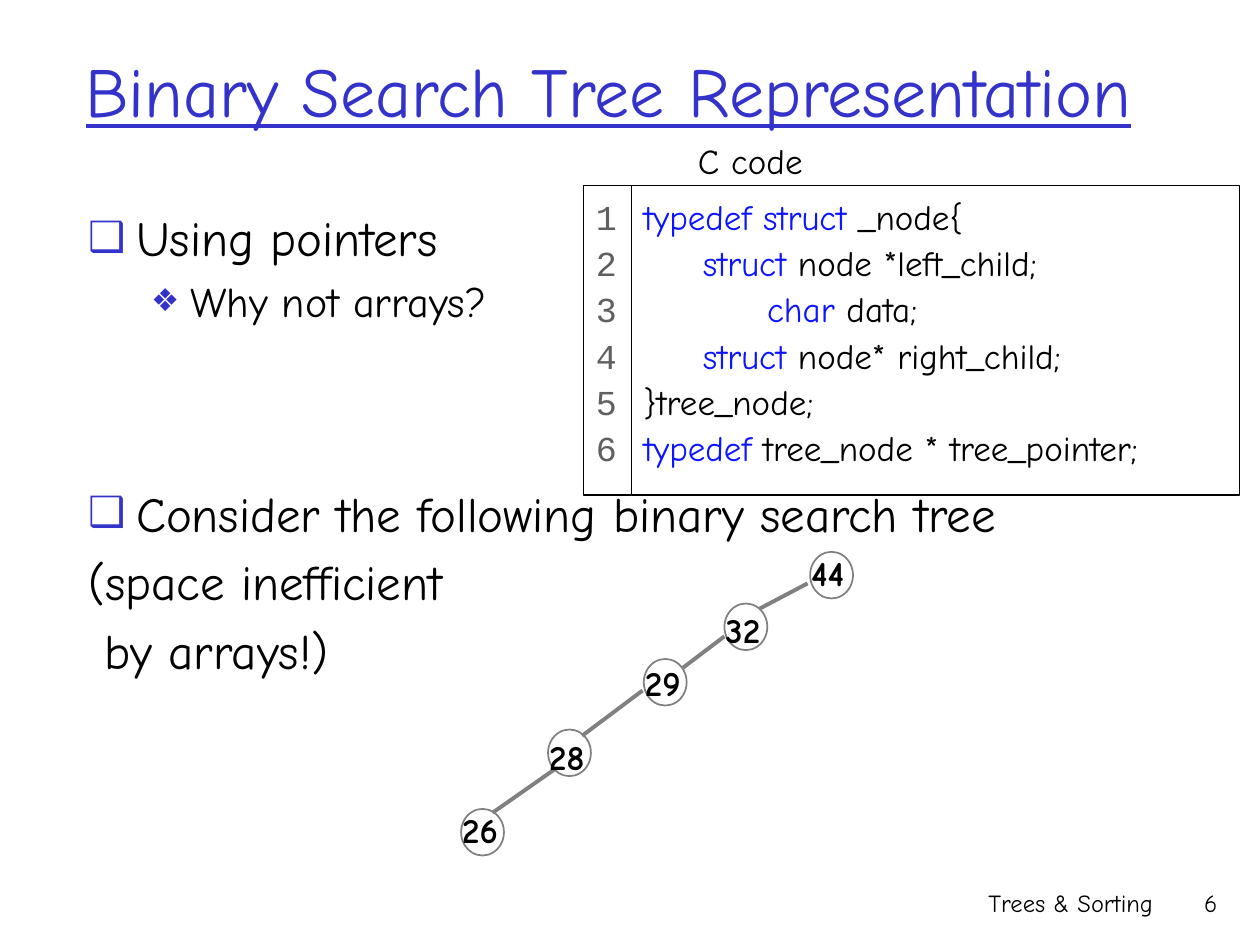
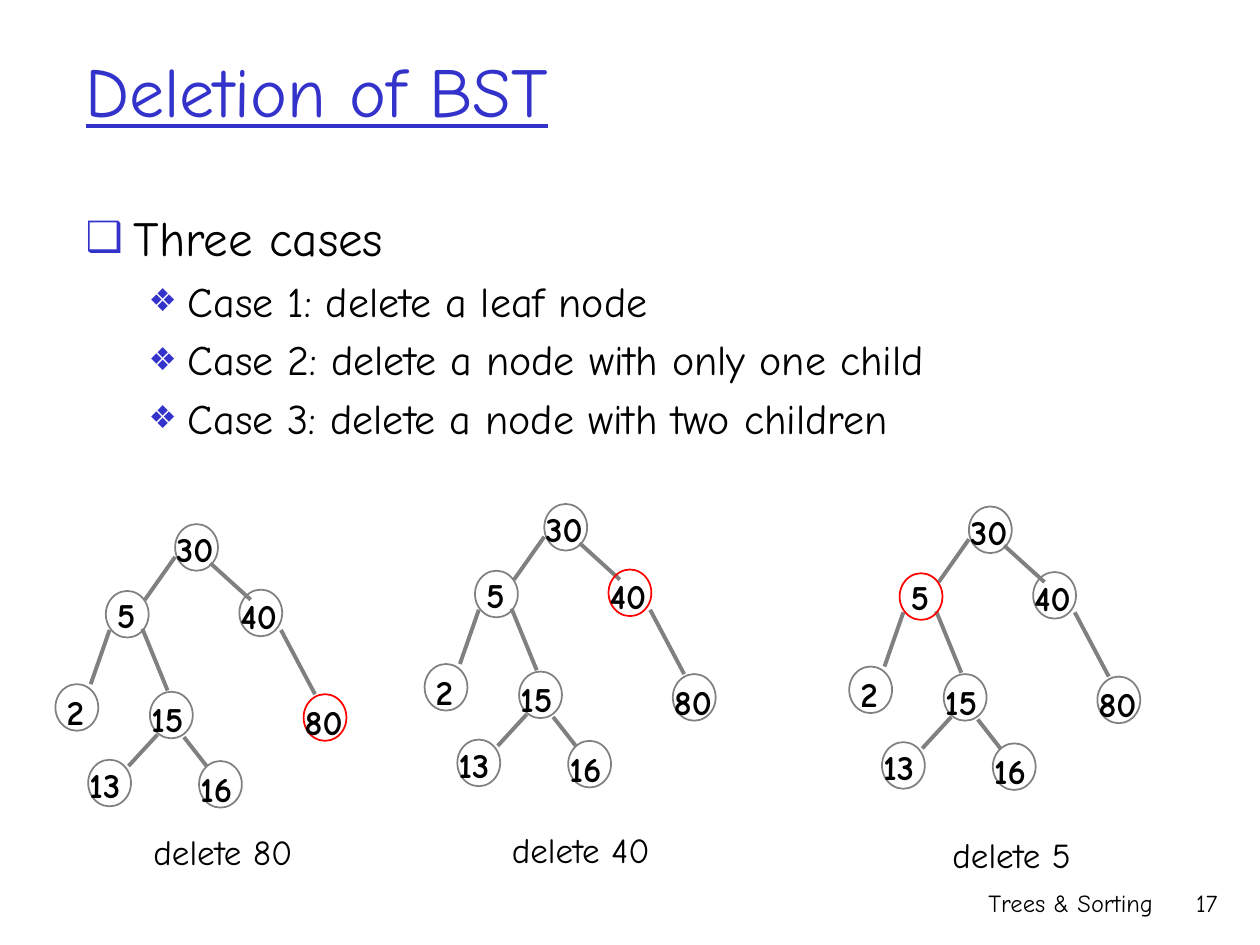
from dataclasses import dataclass

from lxml.etree import SubElement
from pptx import Presentation
from pptx.dml.color import RGBColor
from pptx.enum.shapes import MSO_CONNECTOR as Connector, MSO_SHAPE as Shape
from pptx.enum.text import MSO_ANCHOR as Anchor, MSO_AUTO_SIZE as AutoSize, PP_ALIGN as Align
from pptx.oxml.ns import qn
from pptx.util import Inches, Pt


@dataclass(frozen=True)
class Theme:
    font: str = "Comic Neue"
    number_font: str = "Courier New"
    ink: str = "000000"
    paper: str = "FFFFFF"
    accent: str = "3333CC"
    keyword: str = "0D14FF"
    line_number: str = "5F5F5F"
    outline: str = "808080"
    marked: str = "FF0000"
    title_size: int = 40
    item_size: int = 28
    subitem_size: int = 24
    text_size: int = 20
    footer_size: int = 14
    edge_width: float = 2.25
    node_width: float = 0.34
    node_height: float = 0.37


THEME = Theme()

# style: (bullet, bullet size in percent, level, left margin, hanging indent, type size)
LIST_STYLES = {
    "item": ("❑", 85, 0, 0.38, -0.38, THEME.item_size),
    "subitem": ("❖", 75, 1, 0.81, -0.31, THEME.subitem_size),
    "plain": (None, None, 0, 0, 0, THEME.item_size),
}

# left and top of each node, and how far its label is raised
CHAIN_NODES = {
    "44": (6.43, 4.38, 0.05),
    "32": (5.75, 4.79, 0.01),
    "29": (5.11, 5.23, 0.03),
    "28": (4.35, 5.79, 0),
    "26": (3.66, 6.42, 0.05),
}
CHAIN_EDGES = [
    (6.41, 4.63, 6.03, 4.83),
    (5.75, 5.05, 5.42, 5.3),
    (5.1, 5.48, 4.62, 5.84),
    (4.41, 6.1, 3.91, 6.45),
]

# measured from the corner of the root node
TREE_NODES = {
    "30": (0, 0, 0.02),
    "5": (-0.55, 0.53, 0.03),
    "2": (-0.95, 1.27, 0),
    "15": (-0.2, 1.33, 0),
    "40": (0.51, 0.52, 0.01),
    "80": (1.02, 1.35, 0),
    "13": (-0.69, 1.87, 0.02),
    "16": (0.19, 1.88, 0),
}
TREE_EDGES = [
    (0, 0.26, -0.24, 0.6),
    (-0.52, 0.84, -0.67, 1.27),
    (-0.26, 0.83, -0.06, 1.32),
    (0.28, 0.31, 0.6, 0.6),
    (0.84, 0.84, 1.11, 1.35),
    (-0.14, 1.67, -0.37, 1.92),
    (0.07, 1.69, 0.25, 1.92),
]

# corner of the root node, node to delete, corner of the caption
DELETIONS = [
    ((1.39, 4.16), "80", (0.99, 6.58)),
    ((4.32, 4), "40", (3.83, 6.57)),
    ((7.69, 4.02), "5", (7.25, 6.61)),
]

# left margin, then spans of text and whether each is a keyword
CODE_LINES = [
    (0, [("typedef struct", True), (" _node{", False)]),
    (0.47, [("struct", True), (" node *left_child;", False)]),
    (0.98, [("char", True), (" data;", False)]),
    (0.47, [("struct", True), (" node* right_child;", False)]),
    (0, [("}tree_node;", False)]),
    (0, [("typedef ", True), ("tree_node * tree_pointer;", False)]),
]


def inches(*lengths):
    return [Inches(length) for length in lengths]


def set_all(target, values):
    for name, value in values.items():
        setattr(target, name, value)


class Builder:
    def __init__(self, deck, theme):
        self.deck = deck
        self.theme = theme
        self.page = None
        self.canvas = None

    def start_page(self, title, number, title_width):
        self.page = self.deck.slides.add_slide(self.deck.slide_layouts[1])
        self.canvas = self.page.shapes
        heading = self.page.shapes.title
        self.place(heading, (0.58, 0.25, title_width, 0.92))
        heading.text_frame.vertical_anchor = Anchor.MIDDLE
        para = heading.text_frame.paragraphs[0]
        para.alignment = Align.LEFT
        self.span(para, title, size=self.theme.title_size, color=self.theme.accent, underline=True)
        for text, left, width in (("Trees & Sorting", 6.08, 3.17), (number, 9.08, 0.68)):
            self.text(text, (left, 7, width, 0.5), align=Align.RIGHT, size=self.theme.footer_size)

    def place(self, shape, bounds):
        set_all(shape, dict(zip(("left", "top", "width", "height"), inches(*bounds))))
        shape.text_frame.auto_size = AutoSize.NONE

    def span(self, para, text, size=None, color=None, font=None, **format_values):
        run = para.add_run()
        run.text = text
        values = {"name": font or self.theme.font, "size": Pt(size or self.theme.text_size)}
        set_all(run.font, values | format_values)
        run.font.color.rgb = RGBColor.from_string(color or self.theme.ink)

    def paragraphs(self, frame, count):
        """Return the first paragraph of the frame and as many new ones as needed."""
        return [frame.paragraphs[0]] + [frame.add_paragraph() for _ in range(count - 1)]

    def items(self, left, entries):
        """Fill the body with (style, text, space before in points or None)."""
        body = self.page.placeholders[1]
        self.place(body, (left, 1.6, 8.5, 5.08))
        for para, (style, text, space) in zip(self.paragraphs(body.text_frame, len(entries)), entries):
            bullet, percent, level, margin, indent, size = LIST_STYLES[style]
            para.level = level
            if space:
                para.space_before = Pt(space)
            self.indent(para, margin, indent)
            self.bullet(para, bullet, percent)
            self.span(para, text, size)

    def indent(self, para, margin, indent=0):
        properties = para._p.get_or_add_pPr()
        properties.set("marL", str(Inches(margin)))
        properties.set("indent", str(Inches(indent)))

    def bullet(self, para, character, percent):
        properties = para._p.get_or_add_pPr()
        if not character:
            SubElement(properties, qn("a:buNone"))
            return
        color = SubElement(properties, qn("a:buClr"))
        SubElement(color, qn("a:srgbClr"), val=self.theme.accent)
        SubElement(properties, qn("a:buSzPct"), val=str(percent * 1000))
        SubElement(properties, qn("a:buChar"), char=character)

    def text(self, text, bounds, align=Align.LEFT, anchor=Anchor.TOP, wrap=True, **format_values):
        box = self.canvas.add_textbox(*inches(*bounds))
        set_all(box.text_frame, {"word_wrap": wrap, "vertical_anchor": anchor})
        para = box.text_frame.paragraphs[0]
        para.alignment = align
        self.span(para, text, **format_values)

    def shape(self, kind, bounds, line, width, fill=None):
        shape = self.canvas.add_shape(kind, *inches(*bounds))
        shape.shadow.inherit = False
        if fill:
            shape.fill.solid()
            shape.fill.fore_color.rgb = RGBColor.from_string(fill)
        else:
            shape.fill.background()
        shape.line.color.rgb = RGBColor.from_string(line)
        shape.line.width = Pt(width)
        return shape

    def code_panel(self, bounds, lines, right_inset=0.1):
        """Draw a framed panel from (margin, spans), each span being arguments for span()."""
        panel = self.shape(Shape.RECTANGLE, bounds, self.theme.ink, 0.75, self.theme.paper)
        frame = panel.text_frame
        set_all(frame, {"vertical_anchor": Anchor.TOP, "word_wrap": True,
                        "margin_right": Inches(right_inset)})
        for para, (margin, spans) in zip(self.paragraphs(frame, len(lines)), lines):
            set_all(para, {"alignment": Align.LEFT, "line_spacing": 1.1})
            self.indent(para, margin)
            for values in spans:
                self.span(para, **values)

    def edge(self, *ends):
        line = self.canvas.add_connector(Connector.STRAIGHT, *inches(*ends))
        line.line.color.rgb = RGBColor.from_string(self.theme.outline)
        line.line.width = Pt(self.theme.edge_width)
        SubElement(line._element.spPr, qn("a:effectLst"))

    def node(self, label, left, top, lift, label_width, marked):
        theme = self.theme
        color = theme.marked if marked else theme.outline
        self.shape(Shape.OVAL, (left, top, theme.node_width, theme.node_height), color, 1)
        shift = 0.09 if len(label) > 1 else 0.01
        width = label_width if len(label) > 1 else 0.37
        self.text(label, (left - shift, top - lift, width, 0.44), wrap=False, bold=True)

    def tree(self, nodes, edges, origin=(0, 0), label_width=0.55, marked=None):
        x, y = origin
        for start_x, start_y, end_x, end_y in edges:
            self.edge(x + start_x, y + start_y, x + end_x, y + end_y)
        for label, (left, top, lift) in nodes.items():
            self.node(label, x + left, y + top, lift, label_width, label == marked)

    def grouped_tree(self, *arguments, **options):
        self.canvas = self.page.shapes.add_group_shape().shapes
        self.tree(*arguments, **options)
        self.canvas = self.page.shapes


def build_representation(builder):
    theme = builder.theme
    builder.start_page("Binary Search Tree Representation", "6", 9.42)
    builder.items(0.6, [
        ("item", "Using pointers", None),
        ("subitem", "Why not arrays?", None),
        ("item", "Consider the following binary search tree", 90),
        ("plain", "(space inefficient", None),
        ("plain", " by arrays!)", None),
    ])
    code = [
        (margin, [{"text": text, "color": theme.keyword if keyword else theme.ink}
                  for text, keyword in spans])
        for margin, spans in CODE_LINES
    ]
    numbers = [
        (0, [{"text": str(number), "color": theme.line_number, "font": theme.number_font}])
        for number in range(1, len(CODE_LINES) + 1)
    ]
    builder.code_panel((5.01, 1.47, 4.83, 2.46), code)
    builder.code_panel((4.63, 1.47, 0.38, 2.46), numbers, right_inset=0)
    builder.text("C code", (5.44, 1.06, 1.18, 0.43))
    builder.tree(CHAIN_NODES, CHAIN_EDGES, label_width=0.66)


def build_deletion(builder):
    builder.start_page("Deletion of BST", "17", 8.5)
    builder.items(0.58, [
        ("item", "Three cases", None),
        ("subitem", "Case 1: delete a leaf node", None),
        ("subitem", "Case 2: delete a node with only one child", None),
        ("subitem", "Case 3: delete a node with two children", None),
    ])
    for root, target, caption in DELETIONS:
        builder.grouped_tree(TREE_NODES, TREE_EDGES, origin=root, marked=target)
        builder.text(f"delete {target}", (*caption, 1.56, 0.35),
                     align=Align.CENTER, anchor=Anchor.MIDDLE)


def main():
    deck = Presentation()
    deck.slide_width, deck.slide_height = inches(10, 7.5)
    builder = Builder(deck, THEME)
    build_representation(builder)
    build_deletion(builder)
    deck.save("out.pptx")


if __name__ == "__main__":
    main()
